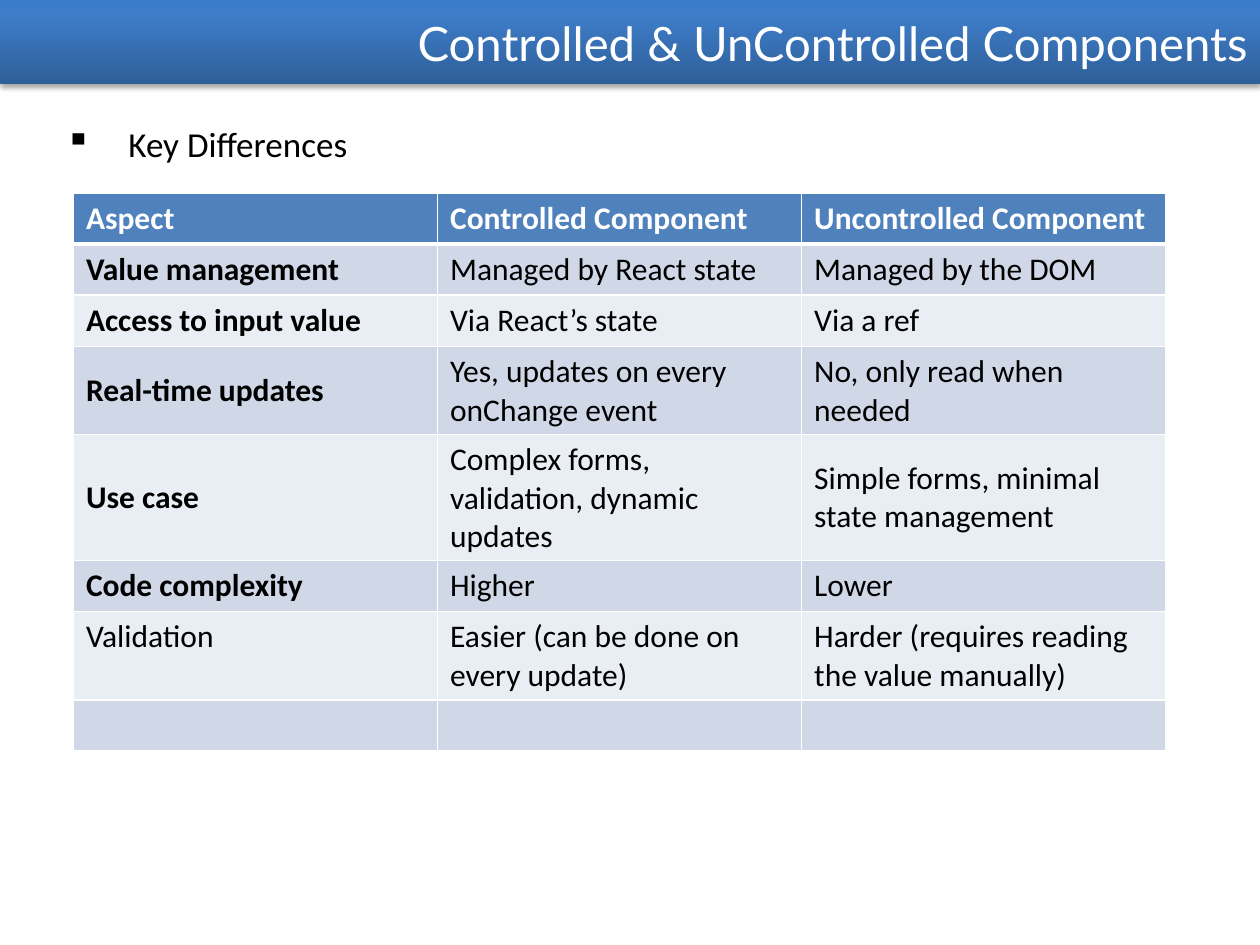
import pptx
import pptx.dml.color
import pptx.enum.text
import pptx.oxml
import pptx.oxml.ns
import pptx.util

Cm = pptx.util.Cm
Pt = pptx.util.Pt
Anchor = pptx.enum.text.MSO_ANCHOR

COLORS = {
    "bar_bottom": "2F5F99", "bar_middle": "3D7CC7", "bar_top": "3A7CCB",
    "header": "4F81BD", "band_dark": "D0D8E8", "band_light": "E9EDF4",
    "white": "FFFFFF", "black": "000000",
}

ROWS = [
    ("Aspect", "Controlled Component", "Uncontrolled Component"),
    ("Value management", "Managed by React state", "Managed by the DOM"),
    ("Access to input value", "Via React’s state", "Via a ref"),
    ("Real-time updates", "Yes, updates on every onChange event",
     "No, only read when needed"),
    ("Use case", "Complex forms, validation, dynamic updates",
     "Simple forms, minimal state management"),
    ("Code complexity", "Higher", "Lower"),
    ("Validation", "Easier (can be done on every update)",
     "Harder (requires reading the value manually)"),
    ("", "", ""),
]
FIRST_PLAIN_ROW = 6  # from here on: top-aligned, no bold label


def element(xml):
    """Build an XML element from markup that uses the a: prefix."""
    tag, rest = xml[:-1].split(" ", 1) if " " in xml.split(">")[0] else xml.split(">", 1)
    joint = " " if " " in xml.split(">")[0] else ">"
    end = ">" if joint == " " else ""
    namespace = pptx.oxml.ns.nsdecls("a")
    return pptx.oxml.parse_xml(f"{tag} {namespace}{joint}{rest}{end}")


class Slide:
    """Style and current slide, with one method per kind of element."""

    def __init__(self, deck, body_font="Calibri", title_font="Lato"):
        self.page = deck.slides.add_slide(deck.slide_layouts[5])
        self.body_font = body_font
        self.title_font = title_font

    def style(self, para, size, color, font=None, bold=False):
        para.font.name = font or self.body_font
        para.font.size = Pt(size)
        para.font.bold = bold
        para.font.color.rgb = pptx.dml.color.RGBColor.from_string(COLORS[color])

    def title_bar(self, text, width, height):
        title = self.page.shapes.title
        title.left, title.top, title.width, title.height = 0, 0, width, height
        frame = title.text_frame
        frame.text = text
        frame.auto_size = pptx.enum.text.MSO_AUTO_SIZE.NONE
        frame.vertical_anchor = Anchor.MIDDLE
        para = frame.paragraphs[0]
        para.alignment = pptx.enum.text.PP_ALIGN.RIGHT
        self.style(para, 27, "white", self.title_font)

        # Three-stop gradient and soft shadow
        stops = [(0, "bar_bottom"), (80, "bar_middle"), (100, "bar_top")]
        stop_xml = "".join(
            f'<a:gs pos="{place * 1000}"><a:srgbClr val="{COLORS[name]}"/></a:gs>'
            for place, name in stops)
        properties = title.element.spPr
        properties.append(element(
            f'<a:gradFill rotWithShape="1"><a:gsLst>{stop_xml}</a:gsLst>'
            '<a:lin ang="16200000" scaled="0"/></a:gradFill>'))
        properties.append(element(
            f'<a:effectLst><a:outerShdw blurRad="{Pt(3.1)}" dist="{Pt(1.8)}" '
            'dir="5400000" rotWithShape="0"><a:srgbClr val="000000">'
            '<a:alpha val="35000"/></a:srgbClr></a:outerShdw></a:effectLst>'))

    def bullet_text(self, text, left, top, width, height):
        box = self.page.shapes.add_textbox(left, top, width, height)
        box.text_frame.word_wrap = True
        para = box.text_frame.paragraphs[0]
        para.text = text
        para.space_after = Pt(12)
        self.style(para, 20, "black")
        properties = para._p.get_or_add_pPr()
        indent = Cm(1.27)
        properties.set("marL", str(indent))
        properties.set("indent", str(-indent))
        bullet = element('<a:buChar char="▪"/>')
        properties.insert_element_before(bullet, "a:tabLst", "a:defRPr", "a:extLst")

    def borders(self, cell, top, bottom):
        properties = cell._tc.get_or_add_tcPr()
        for side, width in (("L", 1), ("R", 1), ("T", top), ("B", bottom)):
            properties.append(element(
                f'<a:ln{side} w="{Pt(width)}"><a:solidFill>'
                f'<a:srgbClr val="{COLORS["white"]}"/></a:solidFill></a:ln{side}>'))

    def table(self, rows, left, top, column_width, row_height):
        count = len(rows[0])
        table = self.page.shapes.add_table(
            len(rows), count, left, top,
            column_width * count, row_height * len(rows)).table
        for row, texts in enumerate(rows):
            table.rows[row].height = row_height
            band = "header" if row == 0 else ("band_light", "band_dark")[row % 2]
            plain = row >= FIRST_PLAIN_ROW
            for column, text in enumerate(texts):
                cell = table.cell(row, column)
                cell.text = text
                cell.vertical_anchor = Anchor.TOP if plain else Anchor.MIDDLE
                bold = row == 0 or (column == 0 and not plain)
                self.style(cell.text_frame.paragraphs[0], 18,
                           "white" if row == 0 else "black", bold=bold)
                self.borders(cell, 3 if row == 1 else 1, 3 if row == 0 else 1)
                cell.fill.solid()
                cell.fill.fore_color.rgb = pptx.dml.color.RGBColor.from_string(COLORS[band])


def main():
    deck = pptx.Presentation()
    deck.slide_width, deck.slide_height = Cm(25.4), Cm(19.05)
    slide = Slide(deck)

    # Title bar
    slide.title_bar("Controlled & UnControlled Components", deck.slide_width, Cm(1.7))

    # Lead-in bullet
    slide.bullet_text("Key Differences", Cm(1.07), Cm(2.34), Cm(23.5), Cm(14.8))

    # Comparison table
    slide.table(ROWS, Cm(1.48), Cm(3.89), Cm(7.34), Cm(1.03))

    deck.save("out.pptx")


if __name__ == "__main__":
    main()
